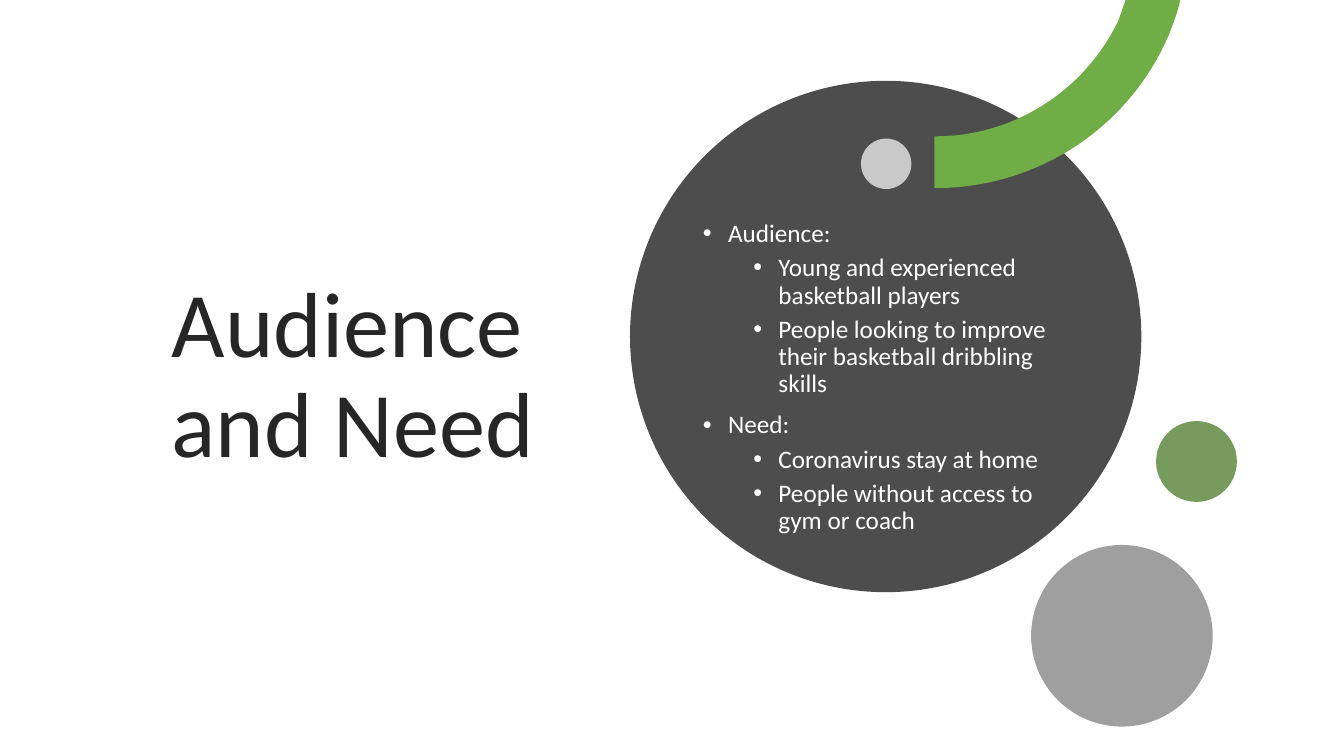
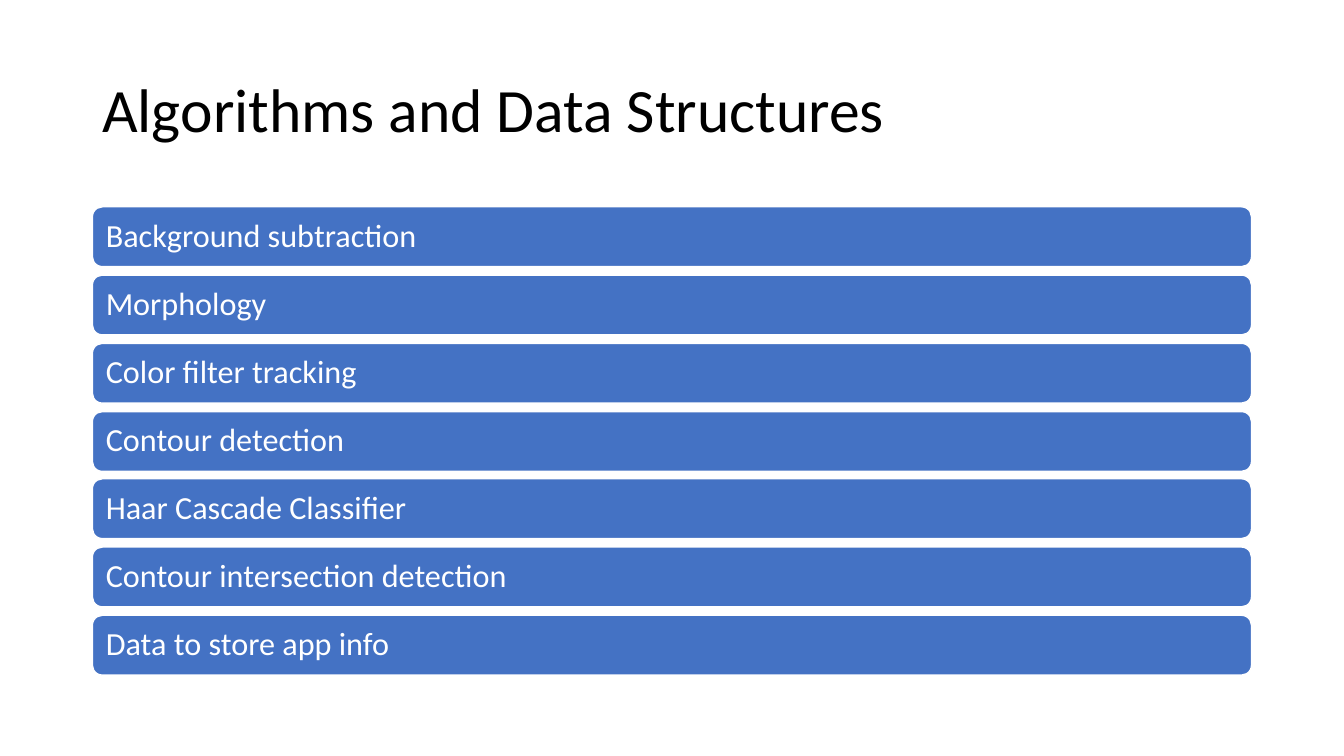
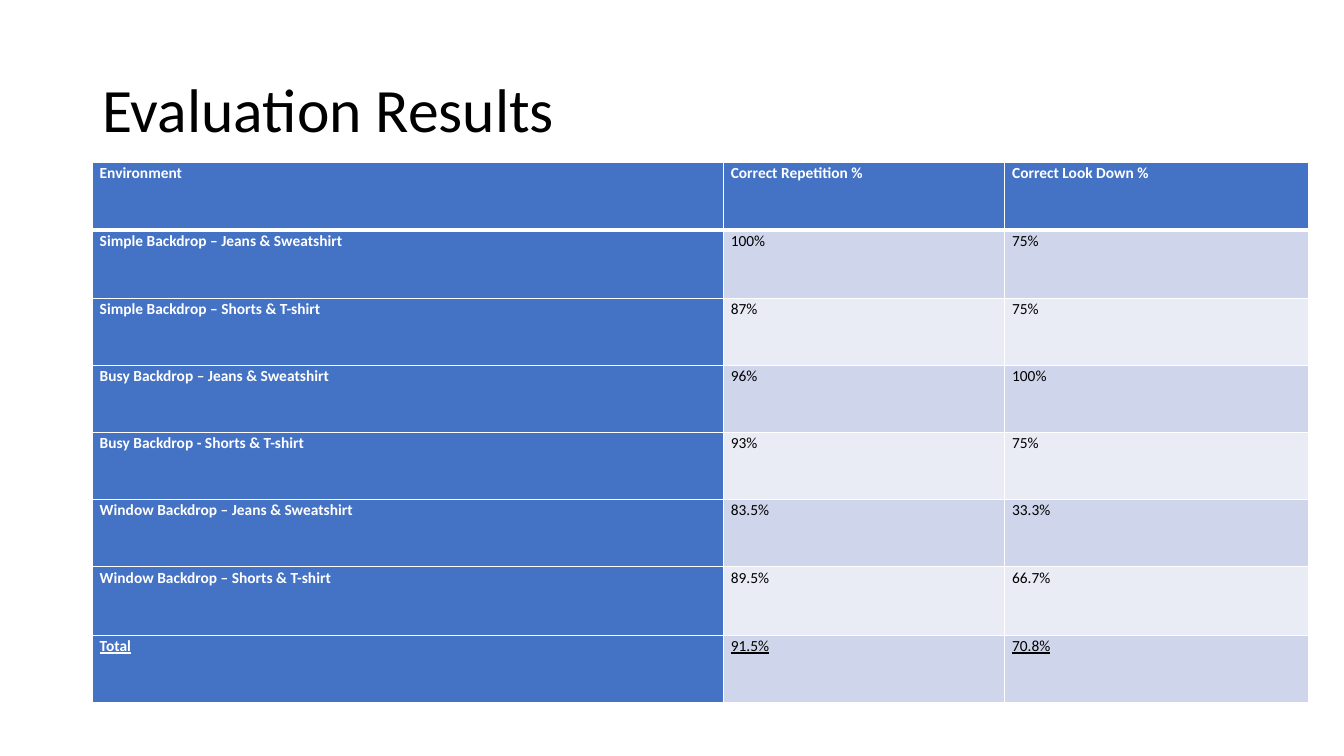
import dataclasses

import lxml.etree
import pptx
import pptx.dml.color
import pptx.enum.shapes
import pptx.enum.text
import pptx.oxml.ns
import pptx.util

PX = 9525
SHAPE = pptx.enum.shapes.MSO_SHAPE
ANCHOR = pptx.enum.text.MSO_ANCHOR


@dataclasses.dataclass(frozen=True)
class Theme:
    font: str = "Calibri"
    white: str = "FFFFFF"
    black: str = "000000"
    heading: str = "262626"
    disc: str = "4D4D4D"
    gray: str = "404040"
    green: str = "70AD47"
    dark_green: str = "548235"
    blue: str = "4472C4"
    bands: tuple = ("CFD5EA", "E9EBF5")
    hero_size: int = 66
    title_size: int = 44
    bar_size: int = 23
    body_size: int = 18
    table_size: int = 11


def px(length):
    return pptx.util.Emu(round(length * PX))


def rgb(color):
    return pptx.dml.color.RGBColor.from_string(color)


def add_element(parent, tag, **attributes):
    return lxml.etree.SubElement(parent, pptx.oxml.ns.qn(tag), attributes)


def spread(start, end, count):
    """Return count + 1 whole positions, evenly spaced from start to end."""
    return [round(start + (end - start) * index / count) for index in range(count + 1)]


def curve(start, first_control, second_control, end, steps=32):
    """Return points along a cubic curve, leaving out its start."""
    points = []
    for step in range(1, steps + 1):
        t = step / steps
        weights = ((1 - t) ** 3, 3 * t * (1 - t) ** 2, 3 * t * t * (1 - t), t ** 3)
        corners = (start, first_control, second_control, end)
        points.append(tuple(sum(weight * corner[axis] for weight, corner in zip(weights, corners))
                            for axis in (0, 1)))
    return points


class SlideBuilder:
    """Holds the theme and the current slide."""

    def __init__(self, theme):
        self.theme = theme
        self.deck = pptx.Presentation()
        self.deck.slide_width, self.deck.slide_height = px(1280), px(720)
        self.slide = None

    def new_slide(self):
        self.slide = self.deck.slides.add_slide(self.deck.slide_layouts[6])

    def style(self, para, size, color, spacing=0.9, bold=False, underline=False):
        para.line_spacing = spacing
        para.alignment = pptx.enum.text.PP_ALIGN.LEFT
        for span in para.runs:
            span.font.name = self.theme.font
            span.font.size = pptx.util.Pt(size)
            span.font.color.rgb = rgb(color)
            span.font.bold = bold
            span.font.underline = underline

    def text_box(self, left, top, width, height):
        box = self.slide.shapes.add_textbox(px(left), px(top), px(width), px(height))
        box.text_frame.word_wrap = True
        box.text_frame.vertical_anchor = ANCHOR.MIDDLE
        return box.text_frame

    def heading(self, text, left, top, width, height, size, color):
        frame = self.text_box(left, top, width, height)
        frame.text = text
        self.style(frame.paragraphs[0], size, color)

    def title(self, text):
        self.heading(text, 88, 38, 1104, 139, self.theme.title_size, self.theme.black)

    def paint(self, shape, color, opacity=100):
        shape.shadow.inherit = False
        shape.fill.solid()
        shape.fill.fore_color.rgb = rgb(color)
        shape.line.fill.background()
        if opacity < 100:
            color_element = shape.fill._xPr.find(".//" + pptx.oxml.ns.qn("a:srgbClr"))
            add_element(color_element, "a:alpha", val=str(opacity * 1000))

    def circle(self, left, top, diameter, color, opacity=100):
        shape = self.slide.shapes.add_shape(SHAPE.OVAL, px(left), px(top), px(diameter), px(diameter))
        self.paint(shape, color, opacity)

    def outline(self, points, color):
        corners = [(px(x), px(y)) for x, y in points]
        builder = self.slide.shapes.build_freeform(*corners[0])
        builder.add_line_segments(corners[1:], close=True)
        self.paint(builder.convert_to_shape(), color)

    def bullets(self, items, left, top, width, height):
        """Add (level, text) items as a bulleted list."""
        frame = self.text_box(left, top, width, height)
        for index, (level, text) in enumerate(items):
            para = frame.add_paragraph() if index else frame.paragraphs[0]
            para.text = text
            para.level = level
            properties = para._p.get_or_add_pPr()
            properties.set("marL", str(px(24 + 48 * level)))
            properties.set("indent", str(px(-24)))
            add_element(properties, "a:buFont", typeface="Arial")
            add_element(properties, "a:buChar", char="•")
            if index:
                para.space_before = pptx.util.Pt(5 if level else 10)
            self.style(para, self.theme.body_size, self.theme.white)

    def bar(self, text, left, top, width, height):
        shape = self.slide.shapes.add_shape(SHAPE.ROUNDED_RECTANGLE, px(left), px(top), px(width), px(height))
        self.paint(shape, self.theme.blue)
        shape.line.color.rgb = rgb(self.theme.white)
        shape.line.width = pptx.util.Pt(1)
        frame = shape.text_frame
        frame.text = text
        frame.word_wrap = True
        frame.vertical_anchor = ANCHOR.MIDDLE
        frame.margin_left = frame.margin_right = px(10)
        self.style(frame.paragraphs[0], self.theme.bar_size, self.theme.white)

    def cell_borders(self, cell, top, bottom):
        """Draw white borders; top and bottom are widths in points."""
        properties = cell._tc.get_or_add_tcPr()
        for side, width in (("L", 1), ("R", 1), ("T", top), ("B", bottom)):
            line = add_element(properties, "a:ln" + side, w=str(pptx.util.Pt(width)))
            add_element(add_element(line, "a:solidFill"), "a:srgbClr", val=self.theme.white)

    def table(self, rows, left, top, bottom, widths):
        """Add a table with a header row, a header column and an underlined last row."""
        theme = self.theme
        frame = self.slide.shapes.add_table(len(rows), len(widths), px(left), px(top),
                                            px(sum(widths)), px(bottom - top))
        table = frame.table
        for column, width in zip(table.columns, widths):
            column.width = px(width)
        edges = spread(top, bottom, len(rows))
        for row_index, values in enumerate(rows):
            table.rows[row_index].height = px(edges[row_index + 1] - edges[row_index])
            for column_index, value in enumerate(values):
                header = row_index == 0 or column_index == 0
                cell = table.cell(row_index, column_index)
                cell.text_frame.text = value
                cell.margin_left = cell.margin_right = px(7)
                cell.margin_top = cell.margin_bottom = 0
                self.cell_borders(cell, 3 if row_index == 1 else 1, 3 if row_index == 0 else 1)
                cell.fill.solid()
                cell.fill.fore_color.rgb = rgb(theme.blue if header else theme.bands[(row_index - 1) % 2])
                self.style(cell.text_frame.paragraphs[0], theme.table_size,
                           theme.white if header else theme.black, spacing=1.07,
                           bold=header, underline=row_index == len(rows) - 1)


def audience_slide(builder):
    theme = builder.theme
    builder.new_slide()
    builder.heading("Audience and Need", 154, 114, 399, 491, theme.hero_size, theme.heading)
    builder.circle(600, 77, 487, theme.disc)
    builder.circle(820, 132, 48, theme.white, 70)
    outer = curve((1123, 5), (1096, 102), (1008, 174), (902, 179))
    inner = curve((910, 129), (978, 122), (1036, 80), (1065, 20))
    builder.outline([(1072, 0), (1124, 0), (1123, 5), *outer,
                     (890, 179), (890, 130), (910, 129), *inner], theme.green)
    builder.circle(1101, 401, 77, theme.dark_green, 80)
    builder.circle(982, 519, 173, theme.gray, 50)
    builder.bullets([
        (0, "Audience:"),
        (1, "Young and experienced basketball players"),
        (1, "People looking to improve their basketball dribbling skills"),
        (0, "Need:"),
        (1, "Coronavirus stay at home"),
        (1, "People without access to gym or coach"),
    ], 660, 185, 376, 350)


def algorithms_slide(builder):
    builder.new_slide()
    builder.title("Algorithms and Data Structures")
    topics = ["Background subtraction", "Morphology", "Color filter tracking", "Contour detection",
              "Haar Cascade Classifier", "Contour intersection detection", "Data to store app info"]
    for topic, top in zip(topics, spread(197, 586, len(topics) - 1)):
        builder.bar(topic, 88, top, 1104, 57)


def results_slide(builder):
    builder.new_slide()
    builder.title("Evaluation Results")
    builder.table([
        ("Environment", "Correct Repetition %", "Correct Look Down %"),
        ("Simple Backdrop – Jeans & Sweatshirt", "100%", "75%"),
        ("Simple Backdrop – Shorts & T-shirt", "87%", "75%"),
        ("Busy Backdrop – Jeans & Sweatshirt", "96%", "100%"),
        ("Busy Backdrop - Shorts & T-shirt", "93%", "75%"),
        ("Window Backdrop – Jeans & Sweatshirt", "83.5%", "33.3%"),
        ("Window Backdrop – Shorts & T-shirt", "89.5%", "66.7%"),
        ("Total", "91.5%", "70.8%"),
    ], 88, 155, 669, (601, 268, 289))


def main():
    builder = SlideBuilder(Theme())
    audience_slide(builder)
    algorithms_slide(builder)
    results_slide(builder)
    builder.deck.save("out.pptx")


if __name__ == "__main__":
    main()
